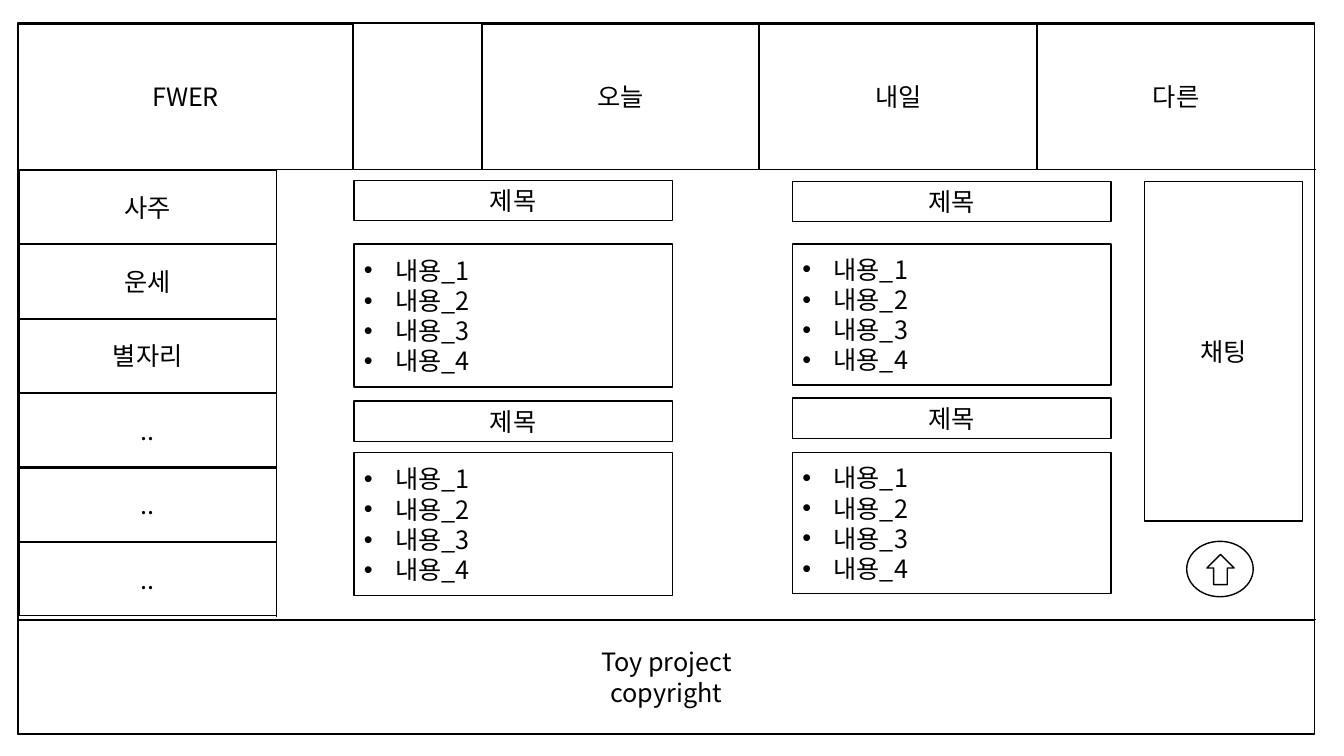
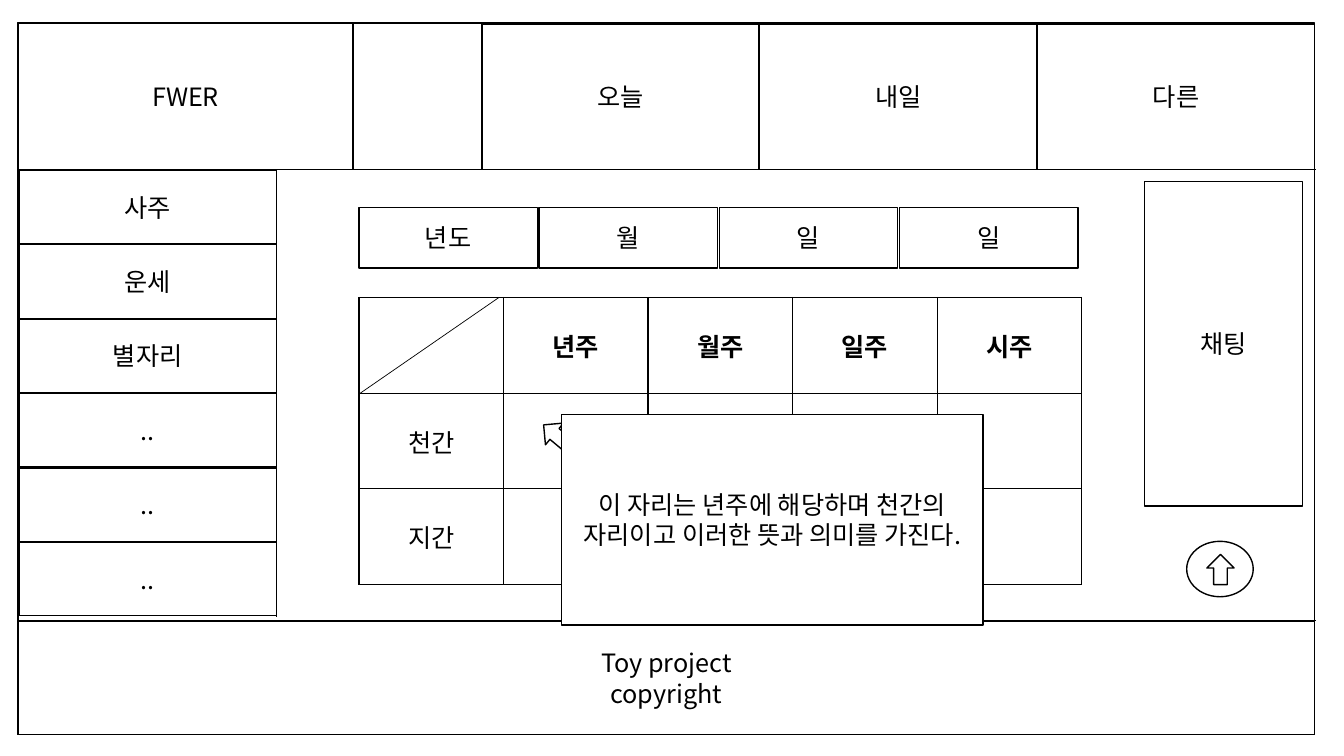
from pptx import Presentation
from pptx.dml.color import RGBColor
from pptx.enum.shapes import MSO_CONNECTOR as Connector, MSO_SHAPE as Shape
from pptx.enum.text import MSO_ANCHOR as Anchor, PP_ALIGN as Align
from pptx.oxml.ns import qn
from pptx.util import Inches, Pt
from lxml.etree import SubElement

FONT = "Noto Sans CJK KR"
INK = "000000"
PAPER = "FFFFFF"
BULLET_INDENT = Inches(0.31)


def color(value):
    return RGBColor.from_string(value)


def write(frame, *paragraphs, size=18, bold=False, align=Align.CENTER, bullet=None):
    frame.word_wrap = True
    for index, text in enumerate(paragraphs):
        paragraph = frame.paragraphs[0] if index == 0 else frame.add_paragraph()
        paragraph.text = text
        paragraph.alignment = align
        for run in paragraph.runs:
            run.font.size = Pt(size)
            run.font.bold = bold
            run.font.name = FONT
            run.font.color.rgb = color(INK)
            SubElement(run.font._element, qn("a:ea"), typeface=FONT)
        if bullet:
            properties = paragraph._p.get_or_add_pPr()
            properties.set("marL", str(BULLET_INDENT))
            properties.set("indent", str(-BULLET_INDENT))
            SubElement(properties, qn("a:buFont"), typeface="Arial")
            SubElement(properties, qn("a:buChar"), char=bullet)


class Wireframe:
    """Draws outlined page elements on the current slide."""

    def __init__(self, presentation):
        self.presentation = presentation
        self.slide = None

    def shape(self, left, top, width, height, kind=Shape.RECTANGLE, fill=None, rotation=0):
        shape = self.slide.shapes.add_shape(
            kind, Inches(left), Inches(top), Inches(width), Inches(height))
        shape.shadow.inherit = False
        shape.rotation = rotation
        if fill:
            shape.fill.solid()
            shape.fill.fore_color.rgb = color(fill)
        else:
            shape.fill.background()
        shape.line.color.rgb = color(INK)
        shape.line.width = Pt(1)
        return shape

    def box(self, text, left, top, width, height, fill=None):
        write(self.shape(left, top, width, height, fill=fill).text_frame, text)

    def bullets(self, items, left, top, width, height):
        frame = self.shape(left, top, width, height).text_frame
        write(frame, *items, align=Align.LEFT, bullet="•")

    def line(self, left, top, right, bottom):
        line = self.slide.shapes.add_connector(
            Connector.STRAIGHT, Inches(left), Inches(top), Inches(right), Inches(bottom))
        line.line.color.rgb = color(INK)
        line.line.width = Pt(0.5)
        SubElement(line._element.spPr, qn("a:effectLst"))

    def table(self, rows, left, top, width, height):
        table = self.slide.shapes.add_table(
            len(rows), len(rows[0]), Inches(left), Inches(top),
            Inches(width), Inches(height)).table
        table.first_row = table.horz_banding = False
        for row, texts in enumerate(rows):
            for column, text in enumerate(texts):
                cell = table.cell(row, column)
                cell.vertical_anchor = Anchor.MIDDLE
                self.border(cell)
                cell.fill.background()
                write(cell.text_frame, text, bold=row == 0)

    def border(self, cell):
        properties = cell._tc.get_or_add_tcPr()
        for side in ("lnL", "lnR", "lnT", "lnB"):
            edge = SubElement(properties, qn(f"a:{side}"), w=str(Pt(1)))
            fill = SubElement(edge, qn("a:solidFill"))
            SubElement(fill, qn("a:srgbClr"), val=INK)

    def page(self, header_top, footer_top, chat_height):
        self.slide = self.presentation.slides.add_slide(self.presentation.slide_layouts[6])
        self.shape(0.18, 0.23, 12.86, 7.06)
        self.line(0.18, 1.68, 13.05, 1.68)
        self.box("FWER", 0.18, header_top, 3.32, 1.68 - header_top)
        for index, day in enumerate(("오늘", "내일", "다른")):
            self.box(day, 4.78 + 2.755 * index, 0.24, 2.75, 1.44)
        self.line(2.74, 1.68, 2.74, 6.12)
        for index, menu in enumerate(("사주", "운세", "별자리", "..", "..", "..")):
            self.box(menu, 0.19, 1.69 + 0.738 * index, 2.55, 0.73)
        self.line(0.18, footer_top - 0.01, 13.05, footer_top - 0.01)
        self.box("Toy project\ncopyright", 0.18, footer_top, 12.86, 1.13)
        self.box("채팅", 11.35, 1.8, 1.57, chat_height)
        self.shape(11.77, 5.37, 0.66, 0.55, Shape.OVAL)
        self.shape(11.97, 5.5, 0.27, 0.3, Shape.UP_ARROW)


def build_home(wireframe):
    wireframe.page(header_top=0.24, footer_top=6.15, chat_height=3.37)
    contents = [f"내용_{number}" for number in range(1, 5)]
    for left, title_tops, height in ((3.51, (1.79, 3.98), 1.42), (7.86, (1.8, 3.95), 1.4)):
        for title_top, content_top in zip(title_tops, (2.42, 4.49)):
            wireframe.box("제목", left, title_top, 3.16, 0.4)
            wireframe.bullets(contents, left, content_top, 3.16, height)


def build_fortune(wireframe):
    wireframe.page(header_top=0.23, footer_top=6.16, chat_height=3.22)
    for index, field in enumerate(("년도", "월", "일", "일")):
        wireframe.box(field, 3.56 + 1.787 * index, 2.06, 1.77, 0.6)
    pillars = [
        ["", "년주", "월주", "일주", "시주"],
        ["천간", "", "", "", ""],
        ["지간", "", "", "", ""],
    ]
    wireframe.table(pillars, 3.56, 2.95, 7.17, 2.85)
    wireframe.line(4.95, 2.95, 3.56, 3.91)
    wireframe.shape(5.35, 4.19, 0.36, 0.28, Shape.RIGHT_ARROW, rotation=219.9)
    wireframe.box("이 자리는 년주에 해당하며 천간의 자리이고 이러한 뜻과 의미를 가진다.",
                  5.57, 4.11, 4.18, 2.09, fill=PAPER)


def main():
    presentation = Presentation()
    presentation.slide_width = Inches(13.33)
    presentation.slide_height = Inches(7.5)
    wireframe = Wireframe(presentation)
    build_home(wireframe)
    build_fortune(wireframe)
    presentation.save("out.pptx")


main()
